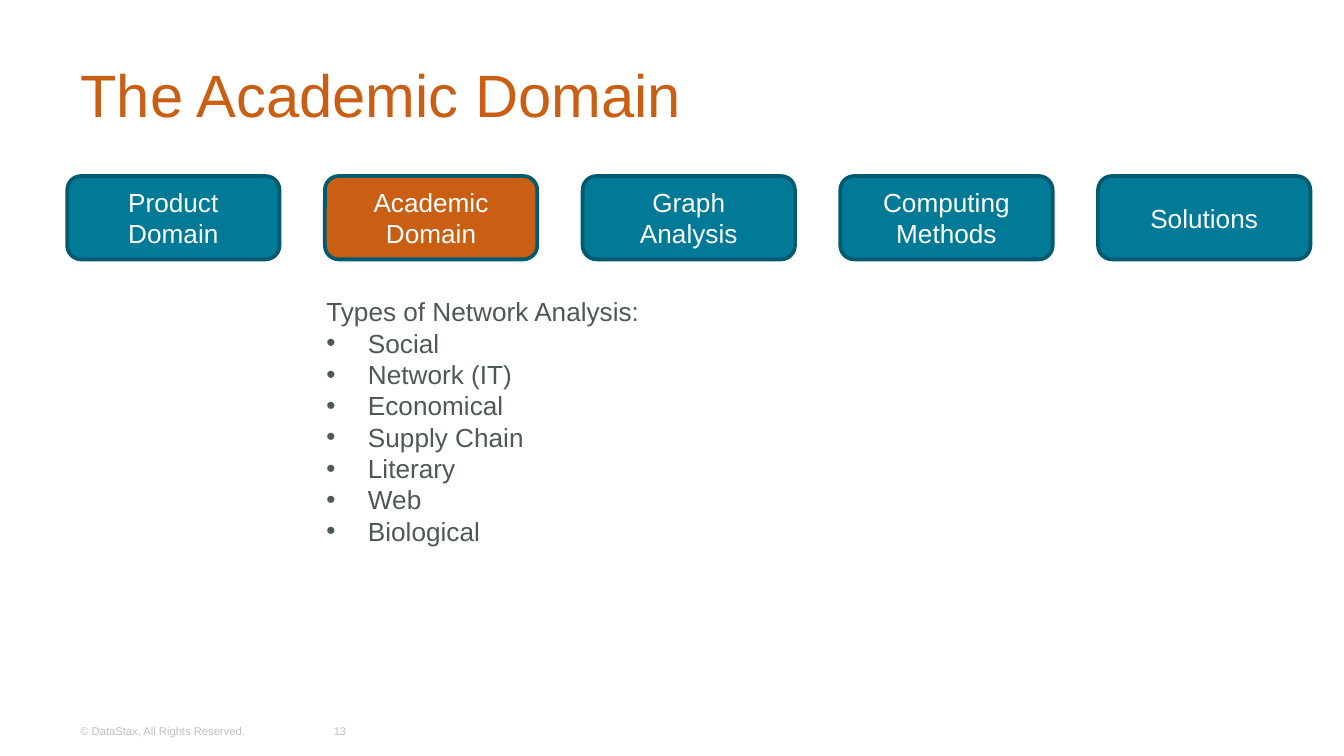
from lxml import etree
from pptx import Presentation
from pptx.dml.color import RGBColor
from pptx.enum import shapes, text
from pptx.oxml import ns
from pptx.util import Inches, Pt

ORANGE, TEAL, EDGE = "CA5F14", "007A97", "005A70"
WHITE, SLATE, GREY = "FFFFFF", "4C5958", "BFBFBF"
MID, TOP = text.MSO_ANCHOR.MIDDLE, text.MSO_ANCHOR.TOP
LEFT, CENTER = text.PP_ALIGN.LEFT, text.PP_ALIGN.CENTER


def color(code):
    return RGBColor.from_string(code)


def style(item, values):
    for name, value in values.items():
        setattr(item, name, value)


def write(shape, lines, size, tint, align=LEFT, anchor=MID):
    frame = shape.text_frame
    style(frame, {"word_wrap": True, "vertical_anchor": anchor})
    frame.text = "\n".join(lines)
    for para in frame.paragraphs:
        para.alignment = align
        style(para.font, {"name": "Arial", "size": Pt(size)})
        para.font.color.rgb = color(tint)
    return frame


def label(slide, box, lines, *look):
    shape = slide.shapes.add_textbox(*map(Inches, box))
    return write(shape, lines, *look)


def tabs(slide, box, names, active):
    left, top, width, height = box
    wide = 1.58
    step = (width - wide) / (len(names) - 1)
    for index, name in enumerate(names):
        spot = map(Inches, (left + index * step, top, wide, height))
        shape = slide.shapes.add_shape(
            shapes.MSO_SHAPE.ROUNDED_RECTANGLE, *spot)
        shape.shadow.inherit = False
        shape.fill.solid()
        shape.fill.fore_color.rgb = color(ORANGE if index == active else TEAL)
        shape.line.color.rgb = color(EDGE)
        shape.line.width = Pt(2)
        write(shape, name.split("\n"), 14, WHITE, CENTER)


def topics(slide, box, head, items):
    frame = label(slide, box, [head, *items], 14, SLATE, LEFT, TOP)
    for para in frame.paragraphs:
        props = para._p.get_or_add_pPr()
        props.set("marL", str(Inches(0.31)))
        props.set("indent", str(Inches(-0.31)))
    for para in frame.paragraphs[1:]:
        props = para._p.get_or_add_pPr()
        face = etree.Element(ns.qn("a:buFont"), typeface="Arial")
        mark = etree.Element(ns.qn("a:buChar"), char="•")
        props.insert(0, face)
        props.insert(1, mark)


def footer(slide, box, note, page):
    left, top, width, height = box
    wide = 0.44
    label(slide, (left, top, 1.74, height), [note], 6, GREY)
    label(slide, (left + width - wide, top, wide, height),
          [page], 6, GREY, CENTER)


def main():
    deck = Presentation()
    wide = Inches(10)
    style(deck, {"slide_width": wide, "slide_height": wide * 9 // 16})
    slide = deck.slides.add_slide(deck.slide_layouts[6])
    label(slide, (0.5, 0.23, 9, 0.94), ["The Academic Domain"], 32, ORANGE)
    tabs(slide, (0.5, 1.31, 9.25, 0.62),
         ["Product Domain", "Academic Domain", "Graph\nAnalysis",
          "Computing\nMethods", "Solutions"], 1)
    topics(slide, (2.33, 2.15, 9, 2.67), "Types of Network Analysis:",
           ["Social", "Network (IT)", "Economical", "Supply Chain",
            "Literary", "Web", "Biological"])
    footer(slide, (0.5, 5.29, 2.25, 0.3),
           "© DataStax, All Rights Reserved.", "13")
    deck.save("out.pptx")


if __name__ == "__main__":
    main()
